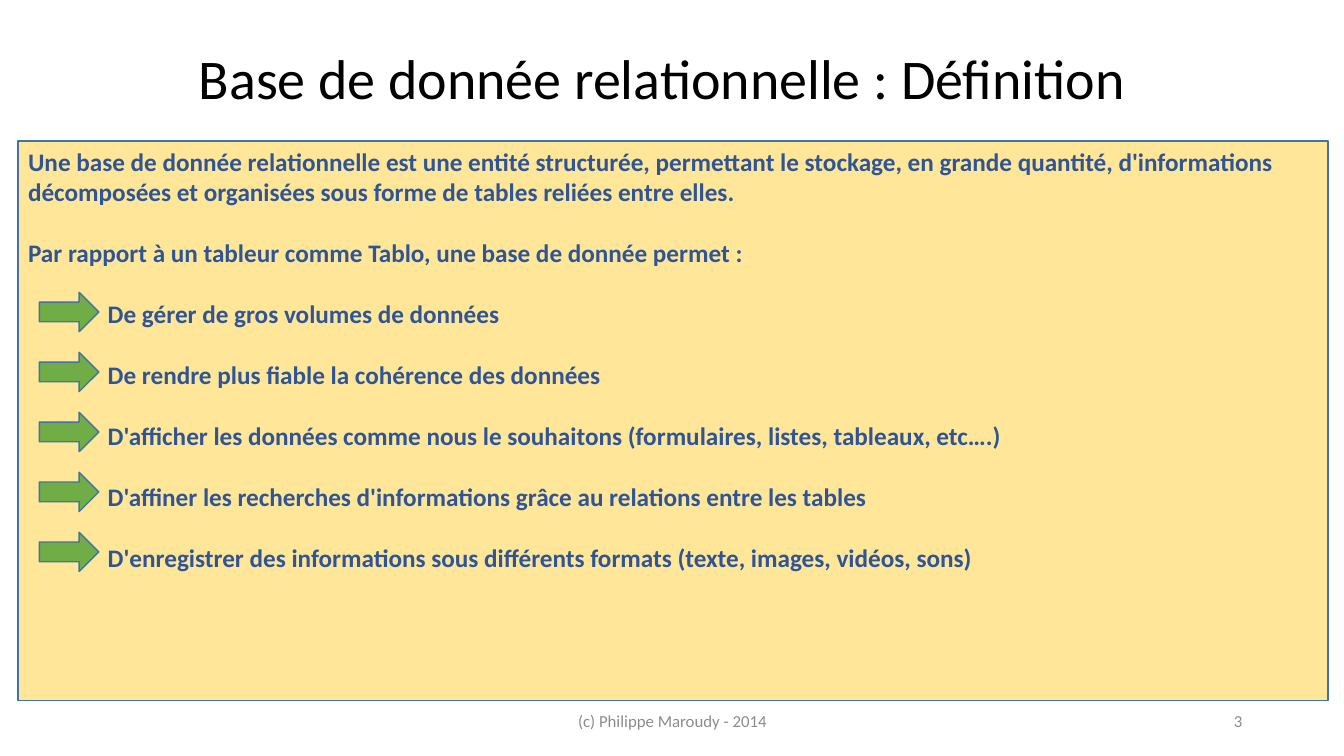
from pptx import Presentation
from pptx.dml.color import RGBColor
from pptx.enum.shapes import MSO_SHAPE
from pptx.enum.text import MSO_ANCHOR, PP_ALIGN
from pptx.util import Inches, Pt

INTRO = [
    "Une base de donnée relationnelle est une entité structurée, permettant le stockage, "
    "en grande quantité, d'informations décomposées et organisées sous forme de tables "
    "reliées entre elles.",
    "Par rapport à un tableur comme Tablo, une base de donnée permet :",
]
BENEFITS = [
    "De gérer de gros volumes de données",
    "De rendre plus fiable la cohérence des données",
    "D'afficher les données comme nous le souhaitons (formulaires, listes, tableaux, etc….)",
    "D'affiner les recherches d'informations grâce au relations entre les tables",
    "D'enregistrer des informations sous différents formats (texte, images, vidéos, sons)",
]
INDENT = 0.79
ARROW_PITCH = 0.595


def rgb(hex_color):
    return RGBColor.from_string(hex_color)


def style(p, size, color, align=PP_ALIGN.LEFT, bold=False):
    p.alignment = align
    for r in p.runs:
        r.font.name = "Calibri"
        r.font.size = Pt(size)
        r.font.bold = bold
        r.font.color.rgb = rgb(color)


def add_label(slide, box, text, size, color, align, anchor=MSO_ANCHOR.MIDDLE):
    tf = slide.shapes.add_textbox(*map(Inches, box)).text_frame
    tf.word_wrap = True
    tf.vertical_anchor = anchor
    tf.text = text
    style(tf.paragraphs[0], size, color, align)


def add_filled(slide, kind, box, fill):
    sp = slide.shapes.add_shape(kind, *map(Inches, box))
    sp.shadow.inherit = False
    sp.fill.solid()
    sp.fill.fore_color.rgb = rgb(fill)
    sp.line.color.rgb = rgb("43739E")
    sp.line.width = Pt(1)
    return sp


def add_definition(slide, box):
    """Panel with the definition and one arrow in front of each benefit."""
    left, top, _, _ = box
    tf = add_filled(slide, MSO_SHAPE.RECTANGLE, box, "FFE699").text_frame
    tf.word_wrap = True
    tf.vertical_anchor = MSO_ANCHOR.TOP
    for i, text in enumerate(INTRO + BENEFITS):
        p = tf.add_paragraph() if i else tf.paragraphs[0]
        p.text = text
        if i:
            p.space_before = Pt(22)
        if i >= len(INTRO):
            pPr = p._p.get_or_add_pPr()
            pPr.set("marL", str(Inches(INDENT)))
            pPr.set("indent", "0")
        style(p, 18, "2F5597", bold=True)
    for row in range(len(BENEFITS)):
        arrow = (left + 0.21, top + 1.5 + row * ARROW_PITCH, 0.59, 0.39)
        add_filled(slide, MSO_SHAPE.RIGHT_ARROW, arrow, "70AD47")


def add_footer(slide, top, height):
    add_label(slide, (4.42, top, 4.5, height), "(c) Philippe Maroudy - 2014",
              12, "8C8C8C", PP_ALIGN.CENTER)
    add_label(slide, (9.42, top, 3, height), "3", 12, "8C8C8C", PP_ALIGN.RIGHT)


def main():
    prs = Presentation()
    prs.slide_width, prs.slide_height = Inches(13.33), Inches(7.5)
    slide = prs.slides.add_slide(prs.slide_layouts[6])
    add_label(slide, (0.39, 0.38, 12.35, 0.77), "Base de donnée relationnelle : Définition",
              40, "000000", PP_ALIGN.CENTER, MSO_ANCHOR.TOP)
    add_definition(slide, (0.18, 1.4, 12.99, 5.55))
    add_footer(slide, 6.95, 0.4)
    prs.save("out.pptx")


if __name__ == "__main__":
    main()
